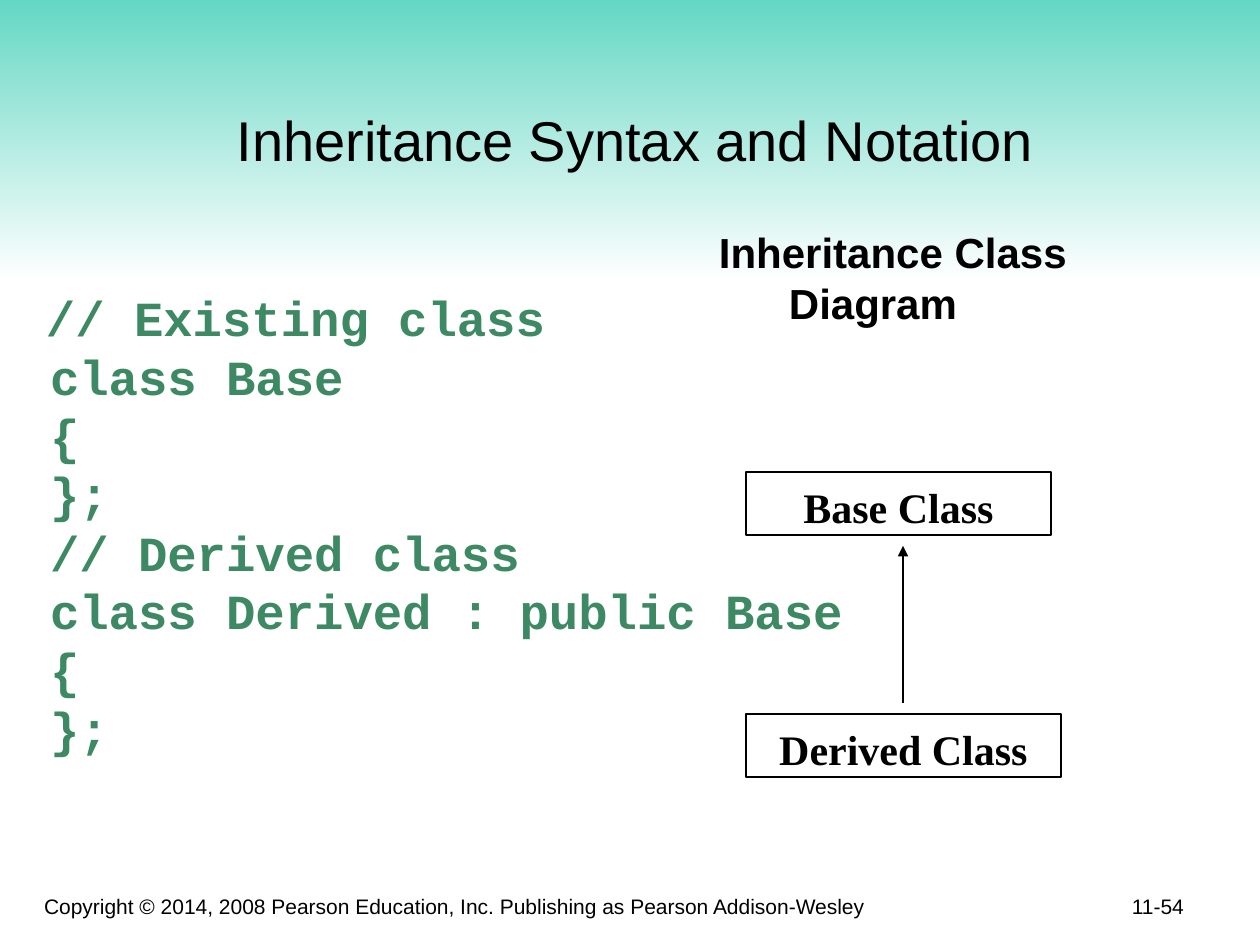
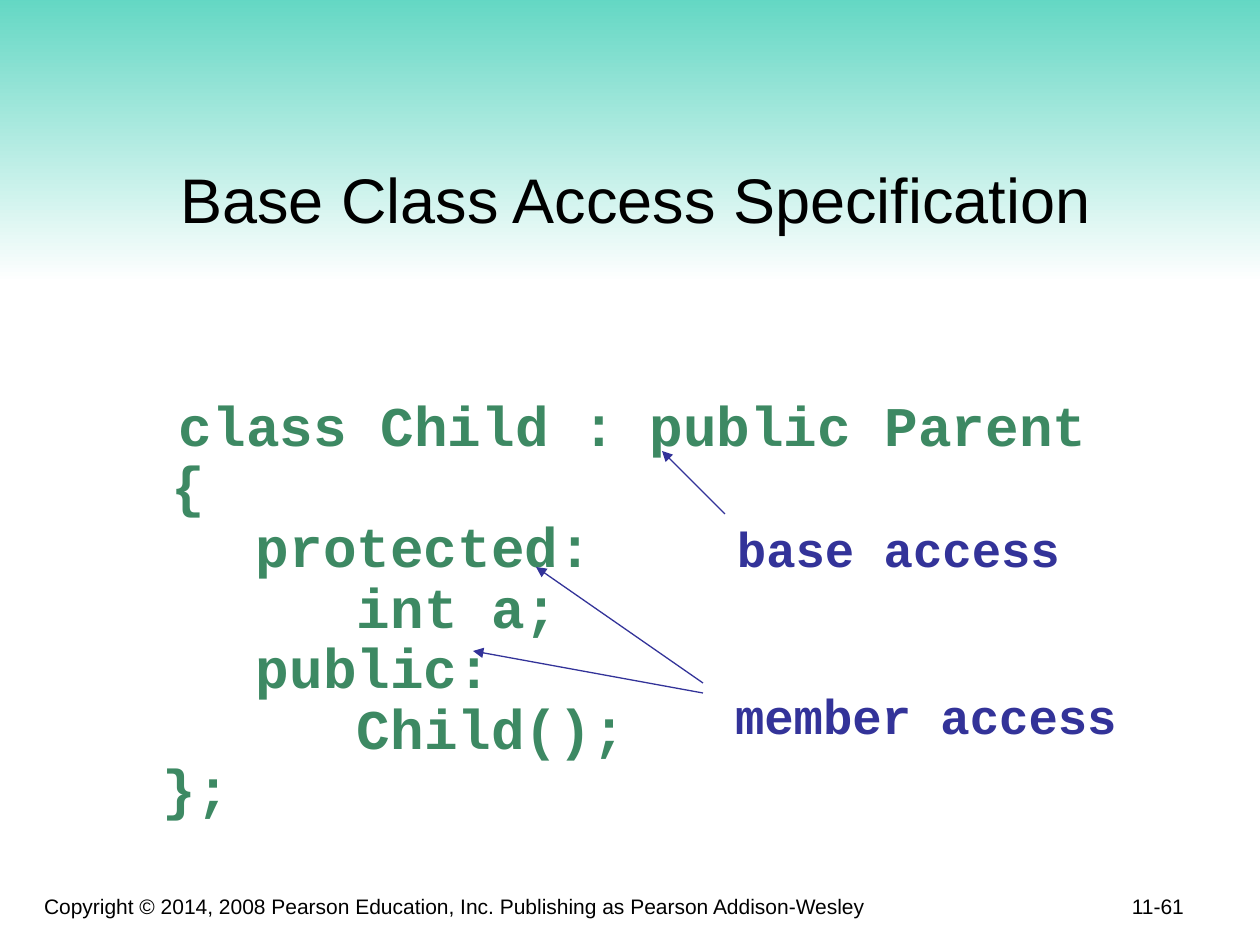
"""Build two slides on class inheritance syntax and access specification."""
from lxml import etree
from pptx import Presentation
from pptx.dml.color import RGBColor
from pptx.enum.shapes import MSO_CONNECTOR, MSO_SHAPE
from pptx.enum.text import MSO_ANCHOR, MSO_AUTO_SIZE, PP_ALIGN
from pptx.oxml.ns import qn
from pptx.util import Pt

EMU_PER_PX = 914400 / 126
STRAIGHT, RECTANGLE = MSO_CONNECTOR.STRAIGHT, MSO_SHAPE.RECTANGLE
TOP, BOTTOM = MSO_ANCHOR.TOP, MSO_ANCHOR.BOTTOM
LEFT, CENTER, RIGHT = PP_ALIGN.LEFT, PP_ALIGN.CENTER, PP_ALIGN.RIGHT
NO_AUTOFIT = MSO_AUTO_SIZE.NONE
SANS, MONO, SERIF = "Arial", "Courier New", "Times New Roman"
COLORS = {
    "ink": "000000",
    "code": "3D8963",
    "note": "333399",
    "band": "5FD6C2",
    "paper": "FFFFFF",
}
COPYRIGHT = ("Copyright © 2014, 2008 Pearson Education, Inc. "
             "Publishing as Pearson Addison-Wesley")


def px(length):
    """Turn pixels into EMU."""
    return round(length * EMU_PER_PX)


def color(key):
    """Look up a named colour."""
    return RGBColor.from_string(COLORS[key])


def write(frame, lines, size, font=SANS, ink="ink", bold=False, align=LEFT,
          spacing=None):
    """Fill a text frame with (indent, text) lines in one style."""
    frame.text = "\n".join(text for _, text in lines)
    for paragraph, (indent, _) in zip(frame.paragraphs, lines):
        paragraph.alignment = align
        if spacing:
            paragraph.line_spacing = Pt(spacing)
        if indent:
            paragraph._p.get_or_add_pPr().set("marL", str(px(indent)))
        for run in paragraph.runs:
            run.font.name = font
            run.font.size = Pt(size)
            run.font.bold = bold
            run.font.color.rgb = color(ink)


def set_margins(frame, side, top, bottom):
    """Set the inner margins of a text frame."""
    frame.margin_left = frame.margin_right = px(side)
    frame.margin_top, frame.margin_bottom = px(top), px(bottom)


def add_text(slide, box, lines, size, anchor=TOP, **style):
    """Add a wrapped text box without margins."""
    frame = slide.shapes.add_textbox(*map(px, box)).text_frame
    frame.word_wrap = True
    frame.vertical_anchor = anchor
    set_margins(frame, 0, 0, 0)
    write(frame, lines, size, **style)


def add_code(slide, box, lines, size, spacing, ink="code"):
    """Add bold monospaced lines."""
    add_text(slide, box, lines, size, font=MONO, ink=ink, bold=True,
             spacing=spacing)


def add_class_box(slide, box, label):
    """Add an outlined class rectangle."""
    rectangle = slide.shapes.add_shape(RECTANGLE, *map(px, box))
    rectangle.shadow.inherit = False
    rectangle.fill.background()
    rectangle.line.color.rgb = color("ink")
    rectangle.line.width = Pt(0.75)
    frame = rectangle.text_frame
    frame.vertical_anchor = TOP
    set_margins(frame, 13, 10, 0)
    write(frame, [(0, label)], 24, font=SERIF, bold=True, align=CENTER)


def add_arrow(slide, start, end, ink):
    """Add a thin line with a triangular head at its end."""
    arrow = slide.shapes.add_connector(STRAIGHT, *map(px, start + end))
    arrow.line.color.rgb = color(ink)
    arrow.line.width = Pt(0.75)
    etree.SubElement(arrow.line._get_or_add_ln(), qn("a:tailEnd"),
                     type="triangle")
    etree.SubElement(arrow._element.spPr, qn("a:effectLst"))


def add_band(slide):
    """Add the fading band behind the title."""
    band = slide.shapes.add_shape(RECTANGLE, *map(px, (0, -10, 1260, 293)))
    band.shadow.inherit = False
    band.line.fill.background()
    band.fill.gradient()
    band.fill.gradient_angle = 270
    for stop, position, key in zip(band.fill.gradient_stops, (0, 1),
                                   ("band", "paper")):
        stop.position = position
        stop.color.rgb = color(key)
    slide.shapes.title._element.addprevious(band._element)


def add_slide(deck, title, title_box, title_size, page):
    """Add a slide with band, title, copyright line and page number."""
    slide = deck.slides.add_slide(deck.slide_layouts[5])
    heading = slide.shapes.title
    heading.left, heading.top, heading.width, heading.height = map(
        px, title_box)
    frame = heading.text_frame
    frame.auto_size = NO_AUTOFIT
    frame.vertical_anchor = BOTTOM
    write(frame, [(0, title)], title_size, align=CENTER)
    add_band(slide)
    add_text(slide, (44, 872, 826, 47), [(0, COPYRIGHT)], 12, BOTTOM)
    add_text(slide, (948, 872, 236, 47), [(0, page)], 12, BOTTOM, align=RIGHT)
    return slide


def build_syntax(deck):
    """Build the slide on inheritance syntax and notation."""
    slide = add_slide(deck, "Inheritance Syntax and Notation",
                      (42, 42, 1187, 137), 32, "11-54")
    declarations = ["class Base", "{", "};", "// Derived class",
                    "class Derived : public Base", "{", "};"]
    add_code(slide, (46, 288, 815, 480),
             [(0, "// Existing class")] + [(4, line) for line in declarations],
             28, 33.5)
    add_text(slide, (719, 226, 466, 110),
             [(0, "Inheritance Class"), (70, "Diagram")], 24, bold=True,
             spacing=29.1)
    add_class_box(slide, (746, 472, 305, 63), "Base Class")
    add_class_box(slide, (746, 714, 315, 63), "Derived Class")
    add_arrow(slide, (903, 703), (903, 546), "ink")


def build_access(deck):
    """Build the slide on base class access specification."""
    slide = add_slide(deck, "Base Class Access Specification",
                      (53, 84, 1165, 158), 36, "11-61")
    add_code(slide, (163, 397, 1021, 430),
             [(16, "class Child : public Parent"), (9, "{"),
              (93, "protected:"), (194, "int a;"),
              (93, "public:"), (194, "Child();"), (0, "};")],
             32, 34.6)
    add_code(slide, (735, 686, 449, 60), [(0, "member access")], 28, 33.5,
             "note")
    add_code(slide, (737, 519, 363, 60), [(0, "base access")], 28, 33.5,
             "note")
    for start, end in (((725, 514), (662, 451)),
                       ((703, 693), (473, 651)),
                       ((703, 683), (536, 567))):
        add_arrow(slide, start, end, "note")


def main():
    """Build and save the deck."""
    deck = Presentation()
    deck.slide_width, deck.slide_height = px(1260), px(945)
    build_syntax(deck)
    build_access(deck)
    deck.save("out.pptx")


if __name__ == "__main__":
    main()
